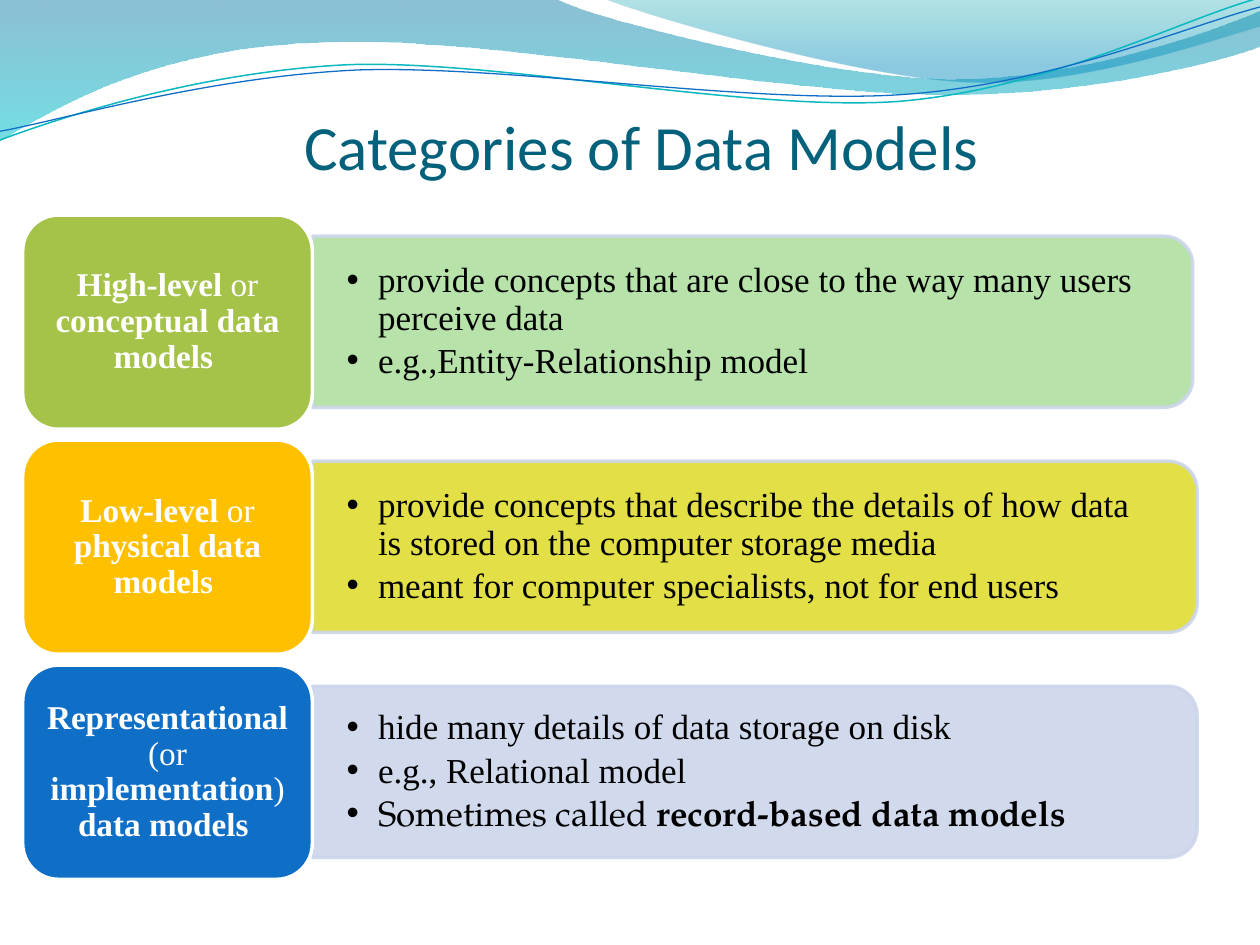
import pptx
import pptx.util
import pptx.dml.color
import pptx.enum.shapes
import pptx.enum.text
import pptx.oxml
import pptx.oxml.ns
import lxml.etree

Pt = pptx.util.Pt
SHAPE = pptx.enum.shapes.MSO_SHAPE
ALIGN = pptx.enum.text.PP_ALIGN
ANCHOR = pptx.enum.text.MSO_ANCHOR

HUES = {
    "title": "04617B", "black": "000000", "white": "FFFFFF", "edge": "CCD5EA",
    "green": "A5C249", "mint": "B0DFA1", "gold": "FFC000", "lime": "E0DC34",
    "blue": "0F6FC6", "teal": "0AB8BF",
    "deep": "0074A1", "aqua": "00C6CF", "sea": "00A1A9", "sky": "008BBF",
}
SERIF, SANS, BOOK = "Times New Roman", "Calibri", "TeX Gyre Pagella"
BOLD = {"bold": True}

# Outlines in points: a pair is a corner, six numbers are a curve.
BAND = [(0, 0), (317, -1), (343, 12, 478, 45, 546, 45), (614, 45, 690, 19, 720, 6),
        (721, 26), (708, 32, 626, 55, 537, 54), (447, 54, 275, 20, 185, 24),
        (93, 26, 33, 60, -1, 81)]
CREST = [(345, -1), (366, 8, 491, 45, 554, 47), (616, 50, 692, 23, 720, 15), (720, 0)]
UPPER = [(0, 80), (35, 67, 114, 41, 199, 37), (284, 34, 427, 64, 513, 58),
         (600, 51, 675, 11, 719, -1)]
LOWER = [(0, 75), (34, 69, 118, 44, 204, 40), (290, 37, 430, 60, 516, 54),
         (602, 48, 678, 15, 720, 4)]

ROWS = [
    ("green", "mint", 503,
     [("High-level ", BOLD), ("or ", {}), ("conceptual data models ", BOLD)],
     [[("provide concepts that are close to the way many users perceive data", {})],
      [("e.g.,Entity-Relationship model", {})]]),
    ("gold", "lime", 505.5,
     [("Low-level ", BOLD), ("or ", {}), ("physical data models ", BOLD)],
     [[("provide concepts that describe the details of how data is stored "
        "on the computer storage media", {})],
      [("meant for computer specialists, not for end users", {})]]),
    ("blue", "edge", 505.5,
     [("Representational ", BOLD), ("(or ", {}), ("implementation", BOLD),
      (") ", {}), ("data models ", BOLD)],
     [[("hide many details of data storage on disk", {})],
      [("e.g., Relational model", {})],
      [("Sometimes called ", {"font": BOOK}),
       ("record-based data models", {"font": BOOK, "bold": True})]]),
]


def rgb(name):
    return pptx.dml.color.RGBColor.from_string(HUES[name])


def tag_of(name):
    return pptx.oxml.ns.qn("a:" + name)


def fade(node, share):
    """Set the opacity, in percent, of every colour under node."""
    for hue in node.iter(tag_of("srgbClr")):
        alpha = lxml.etree.SubElement(hue, tag_of("alpha"))
        alpha.set("val", str(share * 1000))


def bend(shape, path):
    """Turn the straight parts of a freeform into the curves of path."""
    lines = list(shape._element.iter(tag_of("lnTo")))
    for line, part in zip(lines, path[1:]):
        if len(part) == 2:
            continue
        curve = lxml.etree.Element(tag_of("cubicBezTo"))
        for x, y in zip(part[::2], part[1::2]):
            dot = lxml.etree.SubElement(curve, tag_of("pt"))
            dot.set("x", str(Pt(x) - shape.left))
            dot.set("y", str(Pt(y) - shape.top))
        line.getparent().replace(line, curve)


def write(frame, paras, size, hue, font=SERIF, align=ALIGN.LEFT, anchor=ANCHOR.MIDDLE,
          inset=(0, 0, 0, 0), lines=0.9, after=0, bullet=False):
    """Fill a text frame; each paragraph is a list of (text, changes) runs."""
    frame.word_wrap = True
    frame.auto_size = pptx.enum.text.MSO_AUTO_SIZE.NONE
    frame.vertical_anchor = anchor
    (frame.margin_left, frame.margin_top,
     frame.margin_right, frame.margin_bottom) = map(Pt, inset)
    for i, runs in enumerate(paras):
        para = frame.add_paragraph() if i else frame.paragraphs[0]
        para.alignment, para.line_spacing = align, lines
        para.space_before, para.space_after = Pt(0), Pt(after)
        if bullet:
            para.level = 1
            props = para._p.get_or_add_pPr()
            props.set("marL", str(Pt(18)))
            props.set("indent", str(Pt(-18)))
            mark = lxml.etree.SubElement(props, tag_of("buChar"))
            mark.set("char", "•")
        for text, diff in runs:
            run = para.add_run()
            run.text = text
            run.font.name = diff.get("font", font)
            run.font.size = Pt(size)
            run.font.bold = diff.get("bold", False)
            run.font.color.rgb = rgb(hue)


class Deck:
    """The current slide and the style of its parts."""

    def __init__(self, slide):
        self.slide = slide
        self.shapes = slide.shapes

    def curve(self, path, close):
        ends = [(Pt(part[-2]), Pt(part[-1])) for part in path]
        pen = self.shapes.build_freeform(*ends[0], scale=1.0)
        pen.add_line_segments(ends[1:], close=close)
        shape = pen.convert_to_shape()
        bend(shape, path)
        shape.shadow.inherit = False
        return shape

    def wave(self, path, *stops):
        shape = self.curve(path, True)
        shape.line.fill.background()
        shape.fill.gradient()
        shape.fill.gradient_angle = 270
        for stop, (place, hue, share) in zip(shape.fill.gradient_stops, stops):
            stop.position = place
            stop.color.rgb = rgb(hue)
            fade(stop._gs, share)

    def thread(self, path, hue, width):
        shape = self.curve(path, False)
        shape.fill.background()
        shape.line.color.rgb = rgb(hue)
        shape.line.width = Pt(width)

    def block(self, kind, box, fill, edge):
        shape = self.shapes.add_shape(kind, *map(Pt, box))
        shape.shadow.inherit = False
        shape.fill.solid()
        shape.fill.fore_color.rgb = rgb(fill)
        shape.line.color.rgb = rgb(edge)
        shape.line.width = Pt(2)
        return shape

    def panel(self, left, top, width, height, fill):
        """Draw a box with rounded right corners, a top-rounded one on its side."""
        shift = (width - height) / 2
        shape = self.block(SHAPE.ROUND_2_SAME_RECTANGLE,
                           (left + shift, top - shift, height, width), fill, "edge")
        shape.rotation = 90
        fade(shape._element.spPr, 90)

    def tag(self, box, fill, runs):
        shape = self.block(SHAPE.ROUNDED_RECTANGLE, box, fill, "white")
        write(shape.text_frame, [runs], 19, "white", align=ALIGN.CENTER,
              inset=(6, 3, 6, 3))

    def place(self, holder, box):
        """Move a placeholder and bring it to the front."""
        holder.left, holder.top, holder.width, holder.height = map(Pt, box)
        self.shapes._spTree.append(holder._element)
        return holder.text_frame

    def title(self, text, box):
        write(self.place(self.shapes.title, box), [[(text, {})]], 36, "title", SANS,
              ALIGN.CENTER, ANCHOR.BOTTOM, (0, 3.6, 0, 0), lines=1.0)

    def list(self, holder, box, paras):
        write(self.place(holder, box), paras, 20, "black",
              inset=(19.5, 10, 19.5, 10), after=3, bullet=True)


def main():
    show = pptx.Presentation()
    show.slide_width, show.slide_height = Pt(720), Pt(540)
    deck = Deck(show.slides.add_slide(show.slide_layouts[4]))
    bodies = list(deck.slide.placeholders)[1:]

    deck.wave(BAND, (0, "deep", 45), (1, "aqua", 55))
    deck.wave(CREST, (0, "sea", 30), (0.8, "sky", 45))
    deck.thread(UPPER, "teal", 0.85)
    deck.thread(LOWER, "blue", 0.75)
    deck.title("Categories of Data Models", (42.5, 14.8, 648, 90))

    for i, (dark, pale, width, name, points) in enumerate(ROWS):
        top = 122.9 + 128.6 * i
        deck.panel(178.5, top + 12.1, width, 97.8, pale)
        deck.list(bodies[i], (178.5, top + 16.6, width - 4.5, 88.5), points)
        deck.tag((13, top, 165.5, 122.4), dark, name)

    for spare in bodies[len(ROWS):]:
        spare._element.getparent().remove(spare._element)
    show.save("out.pptx")


if __name__ == "__main__":
    main()
